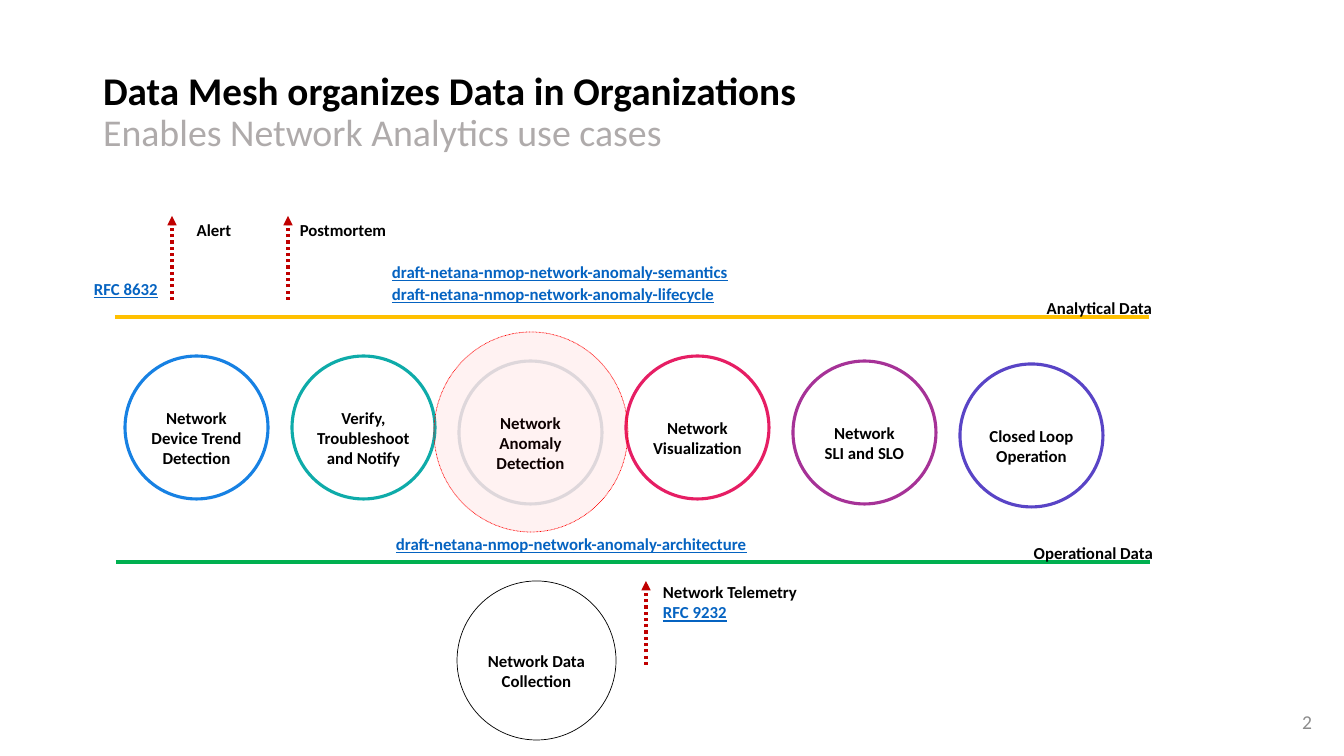
from typing import NamedTuple

from lxml.etree import SubElement
from pptx import Presentation
from pptx.dml.color import RGBColor
from pptx.enum.dml import MSO_LINE
from pptx.enum.shapes import MSO_CONNECTOR, MSO_SHAPE
from pptx.enum.text import MSO_ANCHOR, MSO_AUTO_SIZE, PP_ALIGN
from pptx.oxml.ns import qn
from pptx.util import Emu, Pt

FONT = "Calibri"
BLACK, WHITE, LINK, ARROW = "000000", "FFFFFF", "0563C1", "C00000"
CIRCLE_SIZE, CIRCLE_PITCH, ARROW_LENGTH = 143, 167, 84
USE_CASES = [
    ("Network Device Trend Detection", "1781E3", 0),
    ("Verify, Troubleshoot and Notify", "0EABA9", 0),
    ("Network Anomaly Detection", "DDE3E7", 5),
    ("Network Visualization", "E61E64", 0),
    ("Network\vSLI and SLO", "A63297", 5),
    ("Closed Loop Operation", "5944C6", 8),
]


class Box(NamedTuple):
    """A rectangle in px."""
    left: int
    top: int
    width: int
    height: int

    def inner(self, left, top, width, height):
        """Return a box placed relative to this one."""
        return Box(self.left + left, self.top + top, width, height)

    def lengths(self):
        """Return the four lengths in EMU."""
        return [px(value) for value in self]


def px(value):
    """Turn px into EMU."""
    return Emu(round(value * 914400 / 100.8))


def color(code):
    """Turn a hex string into a colour."""
    return RGBColor.from_string(code)


def style(span, size=12, code=BLACK, bold=True, underline=None):
    """Format one run."""
    font = span.font
    font.name, font.size, font.bold, font.underline = FONT, Pt(size), bold, underline
    font.color.rgb = color(code)


def add_text(page, box, text, align=PP_ALIGN.LEFT, anchor=MSO_ANCHOR.MIDDLE, spacing=1.1, **font):
    """Add a text box with one format and return its text frame."""
    frame = page.shapes.add_textbox(*box.lengths()).text_frame
    frame.word_wrap = True
    frame.vertical_anchor = anchor
    frame.text = text
    for para in frame.paragraphs:
        para.alignment, para.line_spacing = align, spacing
        for span in para.runs:
            style(span, **font)
    return frame


def add_link(page, box, text, **layout):
    """Add text that looks like a link."""
    add_text(page, box, text, code=LINK, underline=True, **layout)


def add_line(page, start, end, code, arrow=False):
    """Add a plain line, or a dotted arrow pointing at its end."""
    line = page.shapes.add_connector(MSO_CONNECTOR.STRAIGHT, *map(px, (*start, *end)))
    line.line.color.rgb = color(code)
    line.line.width = Pt(2.25)
    properties = line.element.spPr
    if arrow:
        line.line.dash_style = MSO_LINE.ROUND_DOT
        SubElement(properties.find(qn("a:ln")), qn("a:tailEnd"), type="triangle")
    SubElement(properties, qn("a:effectLst"))


def add_up_arrow(page, left, top):
    """Add a dotted arrow that points up to the given place."""
    add_line(page, (left, top + ARROW_LENGTH), (left, top), ARROW, arrow=True)


def add_circle(page, box, fill, outline, width):
    """Add an outlined circle."""
    circle = page.shapes.add_shape(MSO_SHAPE.OVAL, *box.lengths())
    circle.shadow.inherit = False
    circle.fill.solid()
    circle.fill.fore_color.rgb = color(fill)
    circle.line.color.rgb = color(outline)
    circle.line.width = Pt(width)
    return circle


def add_labelled_circle(page, box, text, outline, width=2.25):
    """Add a white circle whose label sits a little below its middle."""
    frame = add_circle(page, box, WHITE, outline, width).text_frame
    frame.margin_left = frame.margin_right = frame.margin_bottom = 0
    frame.margin_top = px(20)
    frame.word_wrap = True
    frame.vertical_anchor = MSO_ANCHOR.MIDDLE
    frame.text = text
    para = frame.paragraphs[0]
    para.alignment = PP_ALIGN.CENTER
    for span in para.runs:
        style(span)


def add_title(page, box):
    """Fill and place the title with its grey second line."""
    title = page.shapes.title
    title.left, title.top, title.width, title.height = box.lengths()
    frame = title.text_frame
    frame.auto_size = MSO_AUTO_SIZE.NONE
    frame.word_wrap = True
    frame.vertical_anchor = MSO_ANCHOR.MIDDLE
    frame.text = "Data Mesh organizes Data in Organizations\vEnables Network Analytics use cases"
    para = frame.paragraphs[0]
    para.alignment, para.line_spacing = PP_ALIGN.LEFT, 0.9
    heading, subheading = para.runs
    style(heading, size=28)
    style(subheading, size=27, code="AFABAB", bold=False)


def add_data_level(page, box, text, code):
    """Add a level line along the bottom of the box with its name at the right."""
    bottom = box.top + box.height
    add_line(page, (box.left, bottom), (box.left + box.width, bottom), code)
    add_text(page, box.inner(box.width - 478, box.height - 25, 491, 30), text, align=PP_ALIGN.RIGHT)


def add_analytical_data(page, box):
    """Add the outputs above the analytical level."""
    for left, label, offset, width in ((57, "Alert", 2, 80), (173, "Postmortem", -3, 116)):
        add_up_arrow(page, box.left + left, box.top)
        add_text(page, box.inner(left + offset, -2, width, 30), label, align=PP_ALIGN.CENTER)
    add_link(page, box.inner(-31, 58, 89, 30), "RFC 8632", anchor=MSO_ANCHOR.TOP, spacing=1.0)
    add_link(page, box.inner(267, 51, 386, 30),
             "draft-netana-nmop-network-anomaly-semantics\vdraft-netana-nmop-network-anomaly-lifecycle")
    add_data_level(page, box, "Analytical Data", "FFC000")


def add_use_cases(page, box):
    """Add the row of use cases and the halo on anomaly detection."""
    for index, (text, code, drop) in enumerate(USE_CASES):
        circle_box = box.inner(index * CIRCLE_PITCH, 24 + drop, CIRCLE_SIZE, CIRCLE_SIZE)
        add_labelled_circle(page, circle_box, text, code)
    halo = add_circle(page, box.inner(309, 0, 194, 200), "FF0000", "FF0000", 0.5)
    halo.line.dash_style = MSO_LINE.ROUND_DOT
    fill_color = halo.element.spPr.find(qn("a:solidFill"))[0]
    SubElement(fill_color, qn("a:alpha"), val="5000")


def add_operational_data(page, box):
    """Add the operational level with its architecture draft."""
    add_link(page, box.inner(270, 0, 386, 30), "draft-netana-nmop-network-anomaly-architecture")
    add_data_level(page, box, "Operational Data", "00B050")


def add_collection(page, box):
    """Add data collection and the telemetry it sends up."""
    add_labelled_circle(page, box.inner(0, 0, 159, 159), "Network Data Collection", BLACK, 0.5)
    add_up_arrow(page, box.left + 189, box.top)
    frame = add_text(page, box.inner(196, -4, 433, 50), "Network Telemetry\nRFC 9232",
                     anchor=MSO_ANCHOR.TOP, spacing=1.0)
    style(frame.paragraphs[1].runs[0], code=LINK, underline=True)


def main():
    """Build the deck."""
    deck = Presentation()
    deck.slide_width, deck.slide_height = px(1344), px(756)
    page = deck.slides.add_slide(deck.slide_layouts.get_by_name("Title Only"))
    add_title(page, Box(93, 40, 1159, 146))
    add_analytical_data(page, Box(115, 216, 1034, 101))
    add_use_cases(page, Box(125, 332, 980, 200))
    add_operational_data(page, Box(116, 528, 1034, 34))
    add_collection(page, Box(457, 581, 629, 159))
    add_text(page, Box(1277, 702, 45, 40), "2", align=PP_ALIGN.RIGHT, spacing=1.0,
             size=14, code="8C8C8C", bold=False)
    deck.save("out.pptx")


if __name__ == "__main__":
    main()
